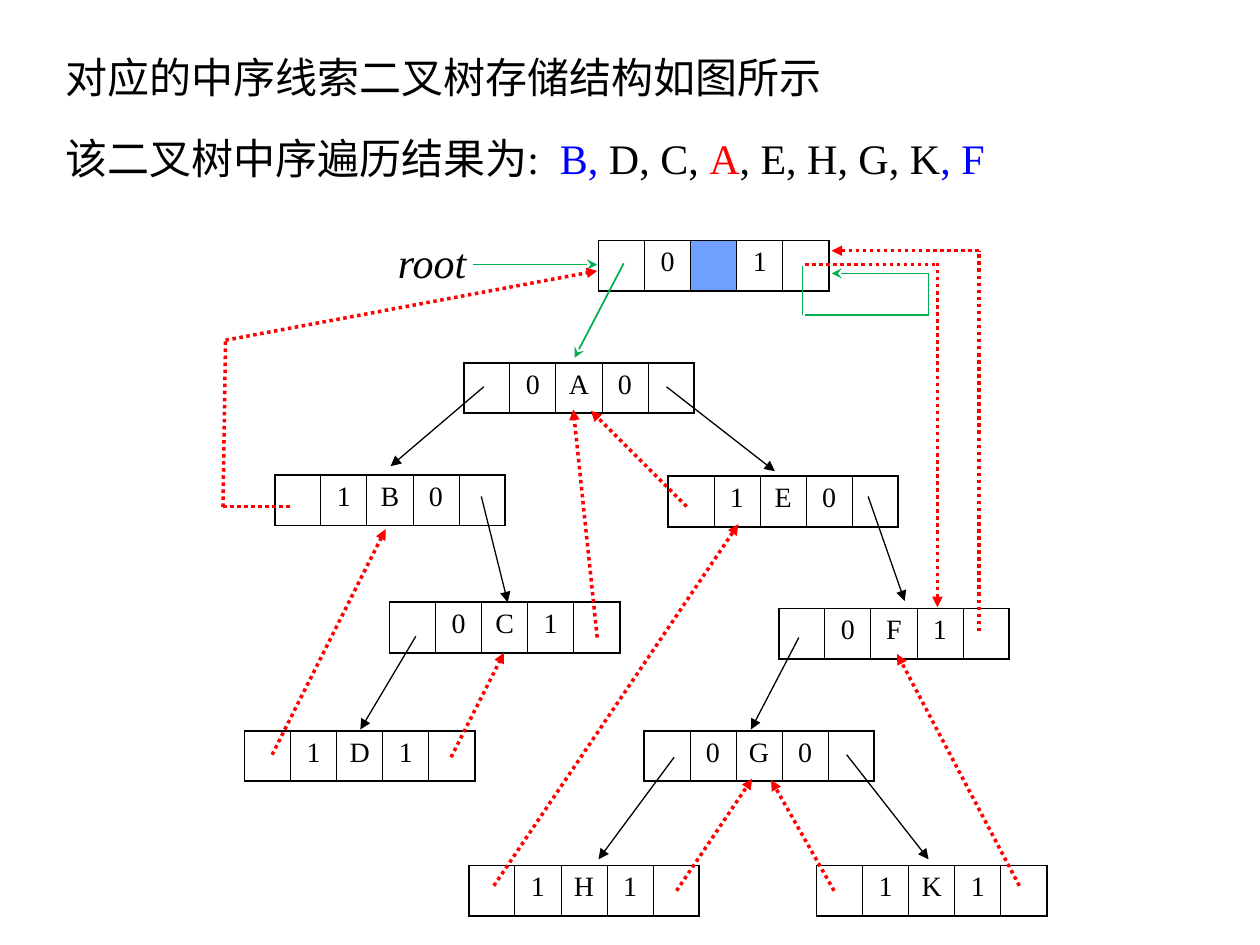
"""Build a slide showing the storage structure of an in-order threaded binary tree."""
from dataclasses import dataclass
from typing import Optional

from lxml.etree import SubElement
from pptx import Presentation
from pptx.dml.color import RGBColor
from pptx.enum.dml import MSO_LINE
from pptx.enum.shapes import MSO_CONNECTOR
from pptx.enum.text import MSO_ANCHOR, PP_ALIGN as Align
from pptx.oxml import parse_xml
from pptx.oxml.ns import nsdecls, qn
from pptx.util import Inches, Pt

FONT = "Times New Roman"
COLORS = {
    "black": "000000",
    "blue": "0000FF",
    "red": "FF0000",
    "green": "00B050",
    "header": "70A0FF",
}
CELL_SIZE = 0.37
NODE_WIDTH = 1.83
FIELD_COUNT = 5
THIN, THICK = 0.45, 1.08


@dataclass(frozen=True)
class Node:
    left: float
    top: float
    left_tag: str
    data: str
    right_tag: str


@dataclass(frozen=True)
class LineStyle:
    color: str
    width: float
    arrow: str
    dotted: bool = False


@dataclass(frozen=True)
class Link:
    start: tuple[float, float]
    end: tuple[float, float]
    arrow_at: Optional[str] = "tailEnd"


CHILD = LineStyle("black", 0.75, "triangle")
HEADER = LineStyle("green", 1, "stealth")
THREAD = LineStyle("red", 2, "triangle", dotted=True)

NODES = [
    Node(4.75, 1.91, "0", "", "1"),
    Node(3.68, 2.88, "0", "A", "0"),
    Node(2.18, 3.77, "1", "B", "0"),
    Node(5.3, 3.78, "1", "E", "0"),
    Node(3.09, 4.78, "0", "C", "1"),
    Node(6.18, 4.83, "0", "F", "1"),
    Node(1.94, 5.8, "1", "D", "1"),
    Node(5.11, 5.8, "0", "G", "0"),
    Node(3.72, 6.87, "1", "H", "1"),
    Node(6.48, 6.87, "1", "K", "1"),
]
CHILD_LINKS = [
    Link((3.84, 3.07), (3.1, 3.7)),
    Link((5.29, 3.07), (6.15, 3.74)),
    Link((3.82, 3.94), (4.03, 4.78)),
    Link((3.3, 5.05), (2.86, 5.79)),
    Link((6.89, 3.94), (7.18, 4.77)),
    Link((6.34, 5.06), (5.96, 5.79)),
    Link((5.35, 6.01), (4.75, 6.82)),
    Link((6.72, 5.99), (7.37, 6.82)),
]
HEADER_LINKS = [
    Link((4.95, 2.09), (4.56, 2.84)),
    Link((6.37, 2.11), (6.37, 2.5), None),
    Link((6.39, 2.5), (7.37, 2.5), None),
    Link((7.37, 2.17), (7.37, 2.5), None),
    Link((6.6, 2.17), (7.37, 2.17), "headEnd"),
    Link((3.75, 2.1), (4.74, 2.1)),
]
THREAD_LINKS = [
    Link((2.16, 5.99), (3.06, 4.2)),
    Link((3.58, 6.01), (4, 5.18)),
    Link((4.74, 5.06), (4.55, 3.25)),
    Link((5.45, 4.02), (4.69, 3.26)),
    Link((3.92, 7.03), (5.86, 4.16)),
    Link((5.37, 7.07), (5.97, 6.18)),
    Link((6.62, 7.07), (6.12, 6.19)),
    Link((8.09, 7.03), (7.12, 5.19)),
]
BENT_THREADS = [
    [
        Link((1.77, 4.02), (2.3, 4.02), None),
        Link((1.79, 2.71), (1.77, 4.03), None),
        Link((1.79, 2.7), (4.74, 2.15)),
    ],
    [
        Link((6.6, 1.99), (7.77, 1.99), "headEnd"),
        Link((7.77, 5.01), (7.77, 1.99), None),
    ],
    [
        Link((6.39, 2.1), (7.44, 2.1), None),
        Link((7.44, 4.82), (7.44, 2.09), "headEnd"),
    ],
]
TRAVERSAL = [
    ("该二叉树中序遍历结果为:  ", "black"),
    ("B, ", "blue"),
    ("D, C, ", "black"),
    ("A", "red"),
    (", E, H, G, K", "black"),
    (", F", "blue"),
]


def add_text(paragraph, text: str, *, size: float = 24, color: str = "black",
             italic: bool = False, align: Align = Align.LEFT) -> None:
    """Append a formatted run to a paragraph."""
    paragraph.alignment = align
    run = paragraph.add_run()
    run.text = text
    run.font.name = FONT
    run.font.size = Pt(size)
    run.font.italic = italic
    run.font.color.rgb = RGBColor.from_string(COLORS[color])


def add_text_box(slide, left: float, top: float, width: float, wrap: bool):
    """Add a one-line text box and return its paragraph."""
    frame = slide.shapes.add_textbox(
        Inches(left), Inches(top), Inches(width), Inches(0.5)).text_frame
    frame.word_wrap = wrap
    return frame.paragraphs[0]


def set_borders(cell, column: int) -> None:
    """Draw thick outer borders and thin inner borders around a cell."""
    widths = {
        "lnL": THICK if column == 0 else THIN,
        "lnR": THICK if column == FIELD_COUNT - 1 else THIN,
        "lnT": THICK,
        "lnB": THICK,
    }
    properties = cell._tc.get_or_add_tcPr()
    for position, (side, width) in enumerate(widths.items()):
        properties.insert(position, parse_xml(
            f'<a:{side} {nsdecls("a")} w="{Pt(width)}"><a:solidFill>'
            f'<a:srgbClr val="{COLORS["black"]}"/></a:solidFill></a:{side}>'))


def add_node(slide, node: Node) -> None:
    """Draw a tree node as a five-field table."""
    table = slide.shapes.add_table(
        1, FIELD_COUNT, Inches(node.left), Inches(node.top),
        Inches(NODE_WIDTH), Inches(CELL_SIZE)).table
    table.first_row = table.horz_banding = False
    fields = ["", node.left_tag, node.data, node.right_tag, ""]
    for column, text in enumerate(fields):
        cell = table.cell(0, column)
        if column == 2 and not text:
            cell.fill.solid()
            cell.fill.fore_color.rgb = RGBColor.from_string(COLORS["header"])
        else:
            cell.fill.background()
        set_borders(cell, column)
        if text:
            add_text(cell.text_frame.paragraphs[0], text, size=16, align=Align.CENTER)


def add_link(shapes, link: Link, style: LineStyle) -> None:
    """Draw a pointer or thread, with an arrowhead where it has one."""
    points = [Inches(value) for value in (*link.start, *link.end)]
    connector = shapes.add_connector(MSO_CONNECTOR.STRAIGHT, *points)
    line = connector.line
    line.color.rgb = RGBColor.from_string(COLORS[style.color])
    line.width = Pt(style.width)
    if style.dotted:
        line.dash_style = MSO_LINE.ROUND_DOT
    if link.arrow_at:
        SubElement(line._get_or_add_ln(), qn(f"a:{link.arrow_at}"), type=style.arrow)
    SubElement(connector._element.spPr, qn("a:effectLst"))


def main() -> None:
    """Build and save the presentation."""
    presentation = Presentation()
    presentation.slide_width, presentation.slide_height = Inches(10), Inches(7.5)
    slide = presentation.slides.add_slide(presentation.slide_layouts[5])

    title = slide.shapes.title
    title.left, title.top = Inches(0.42), Inches(0.35)
    title.width, title.height = Inches(8.5), Inches(0.51)
    title.text_frame.vertical_anchor = MSO_ANCHOR.MIDDLE
    add_text(title.text_frame.paragraphs[0], "对应的中序线索二叉树存储结构如图所示")

    traversal = add_text_box(slide, 0.42, 1, 8.83, wrap=True)
    for text, color in TRAVERSAL:
        add_text(traversal, text, color=color)
    add_text(add_text_box(slide, 3.06, 1.83, 0.76, wrap=False), "root", italic=True)

    for node in NODES:
        add_node(slide, node)
    for links, style in ((CHILD_LINKS, CHILD), (HEADER_LINKS, HEADER), (THREAD_LINKS, THREAD)):
        for link in links:
            add_link(slide.shapes, link, style)
    for bent_thread in BENT_THREADS:
        group = slide.shapes.add_group_shape()
        for link in bent_thread:
            add_link(group.shapes, link, THREAD)

    presentation.save("out.pptx")


if __name__ == "__main__":
    main()
